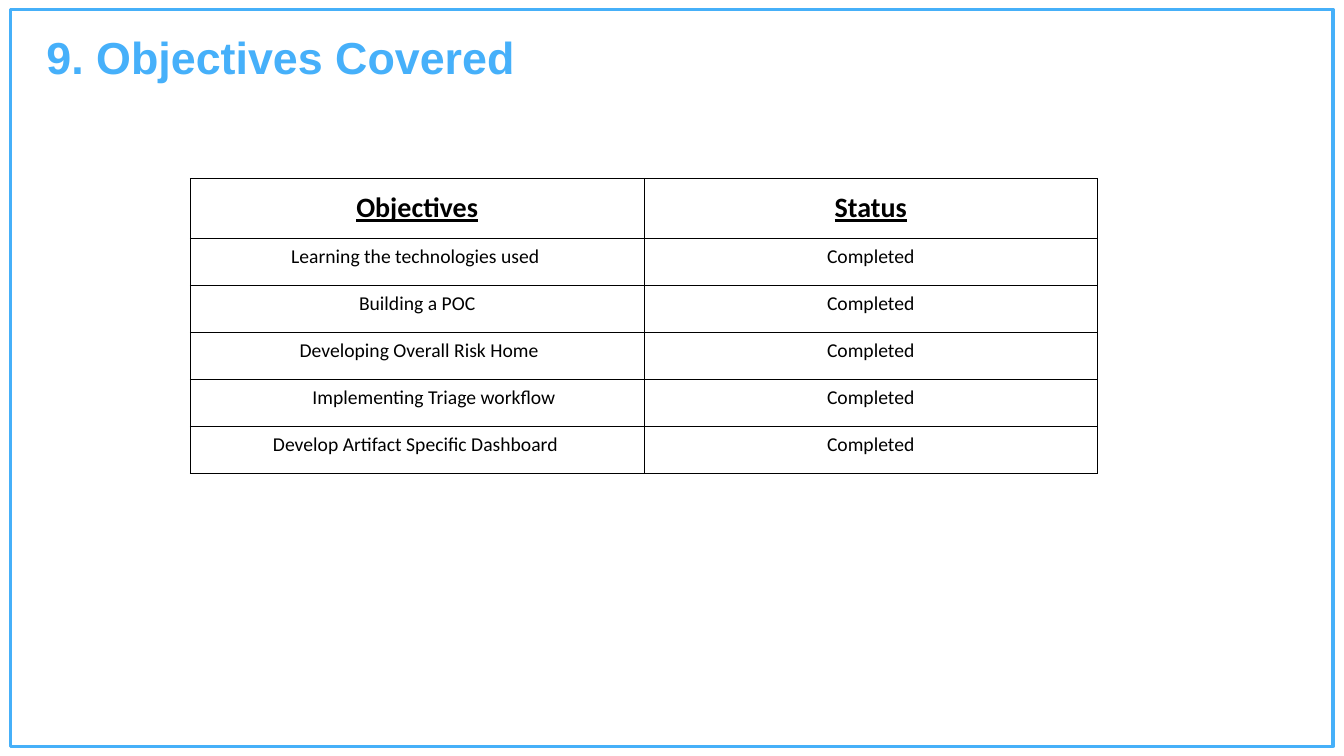
from lxml import etree
from pptx import Presentation
from pptx.dml.color import RGBColor
from pptx.enum.shapes import MSO_SHAPE as Preset
from pptx.enum.text import MSO_ANCHOR as Anchor, MSO_AUTO_SIZE as AutoSize, PP_ALIGN as Align
from pptx.oxml import parse_xml
from pptx.oxml.ns import nsdecls
from pptx.util import Pt

COLORS = {"frame": "46B0F9", "title": "46B0FA", "text": "000000", "border": "000000"}
TITLE_FORMAT = {"name": "Arial", "size": Pt(32), "bold": True}
HEADER_FORMAT = {"name": "Calibri", "size": Pt(20), "bold": True, "underline": True}
BODY_FORMAT = {"name": "Calibri", "size": Pt(14), "bold": False, "underline": False}

# Objective, alignment, left indent in points
OBJECTIVES = [
    ("Learning the technologies used", Align.LEFT, 67),
    ("Building a POC", Align.CENTER, 0),
    ("Developing Overall Risk Home", Align.JUSTIFY, 73),
    ("Implementing Triage workflow", Align.CENTER, 24),
    ("Develop Artifact Specific Dashboard", Align.JUSTIFY, 54),
]


def write(paragraph, text, font_format, color, alignment):
    paragraph.alignment = alignment
    run = paragraph.add_run()
    run.text = text
    for name, value in font_format.items():
        setattr(run.font, name, value)
    run.font.color.rgb = RGBColor.from_string(COLORS[color])


def add_borders(cell):
    properties = cell._tc.get_or_add_tcPr()
    for position, side in enumerate("LRTB"):
        properties.insert(position, parse_xml(
            f'<a:ln{side} {nsdecls("a")} w="{Pt(0.75)}"><a:solidFill>'
            f'<a:srgbClr val="{COLORS["border"]}"/></a:solidFill></a:ln{side}>'))


presentation = Presentation()
presentation.slide_width, presentation.slide_height = Pt(960), Pt(540)
slide = presentation.slides.add_slide(presentation.slide_layouts[5])

# Frame, behind the title
frame = slide.shapes.add_shape(Preset.RECTANGLE, Pt(7.75), Pt(6.75), Pt(944.5), Pt(526.5))
frame.shadow.inherit = False
frame.fill.background()
frame.line.color.rgb = RGBColor.from_string(COLORS["frame"])
frame.line.width = Pt(2.25)
slide.shapes.title._element.addprevious(frame._element)

# Title
title = slide.shapes.title
title.left, title.top, title.width, title.height = Pt(26), Pt(17.5), Pt(593), Pt(46)
title.text_frame.vertical_anchor = Anchor.TOP
title.text_frame.auto_size = AutoSize.SHAPE_TO_FIT_TEXT
write(title.text_frame.paragraphs[0], "9. Objectives Covered", TITLE_FORMAT, "title", Align.LEFT)

# Objectives table
rows = [("Objectives", Align.CENTER, 0, "Status")]
rows += [(*objective, "Completed") for objective in OBJECTIVES]
table = slide.shapes.add_table(len(rows), 2, Pt(136), Pt(127.5), Pt(648), Pt(210.5)).table
table.first_row = table.horz_banding = False
for column in table.columns:
    column.width = Pt(324)

for row_index, (objective, alignment, indent, status) in enumerate(rows):
    is_header = row_index == 0
    table.rows[row_index].height = Pt(42.5 if is_header else 33.6)
    font_format = HEADER_FORMAT if is_header else BODY_FORMAT
    contents = [(objective, alignment, indent), (status, Align.CENTER, 0)]
    for column_index, (text, cell_alignment, cell_indent) in enumerate(contents):
        cell = table.cell(row_index, column_index)
        cell.fill.background()
        cell.vertical_anchor = Anchor.MIDDLE if is_header else Anchor.TOP
        for side in ("left", "right", "top", "bottom"):
            setattr(cell, f"margin_{side}", Pt(5))
        paragraph = cell.text_frame.paragraphs[0]
        write(paragraph, text, font_format, "text", cell_alignment)
        if cell_indent:
            paragraph._p.get_or_add_pPr().set("marL", str(Pt(cell_indent)))
        add_borders(cell)

presentation.save("out.pptx")
